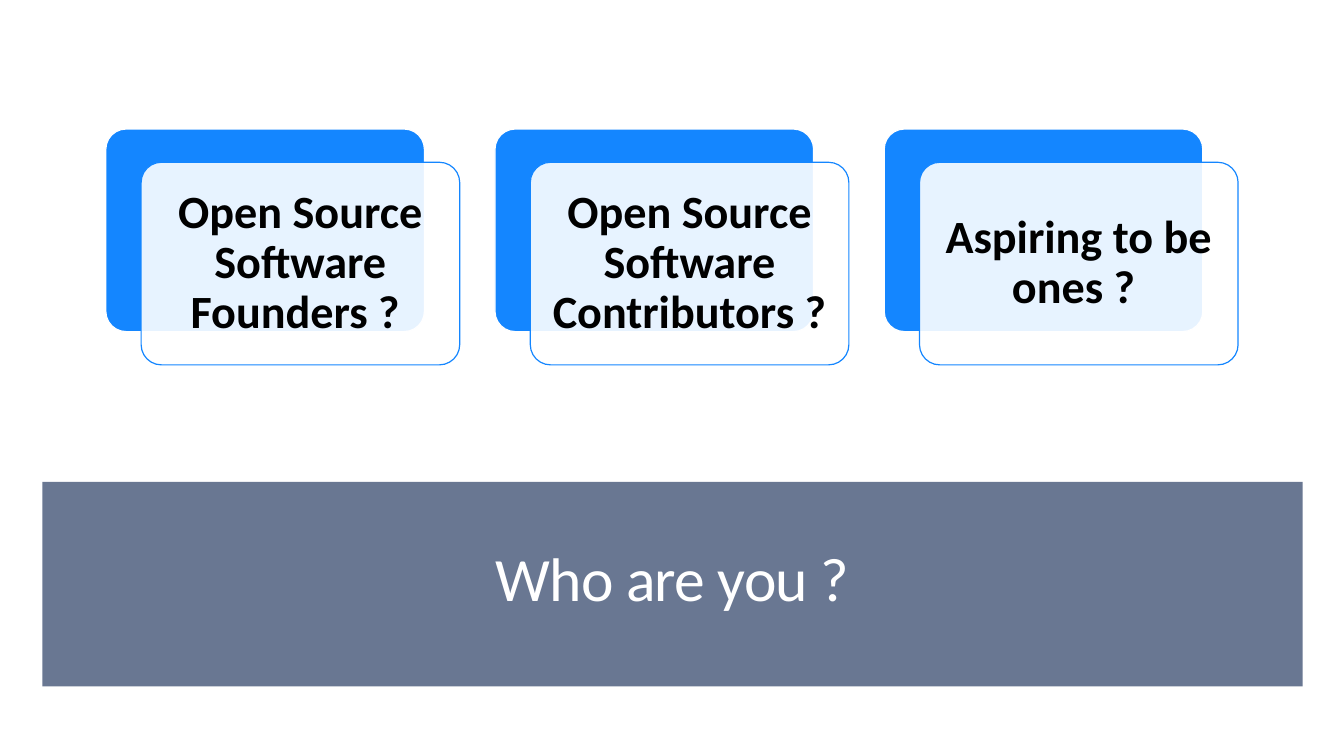
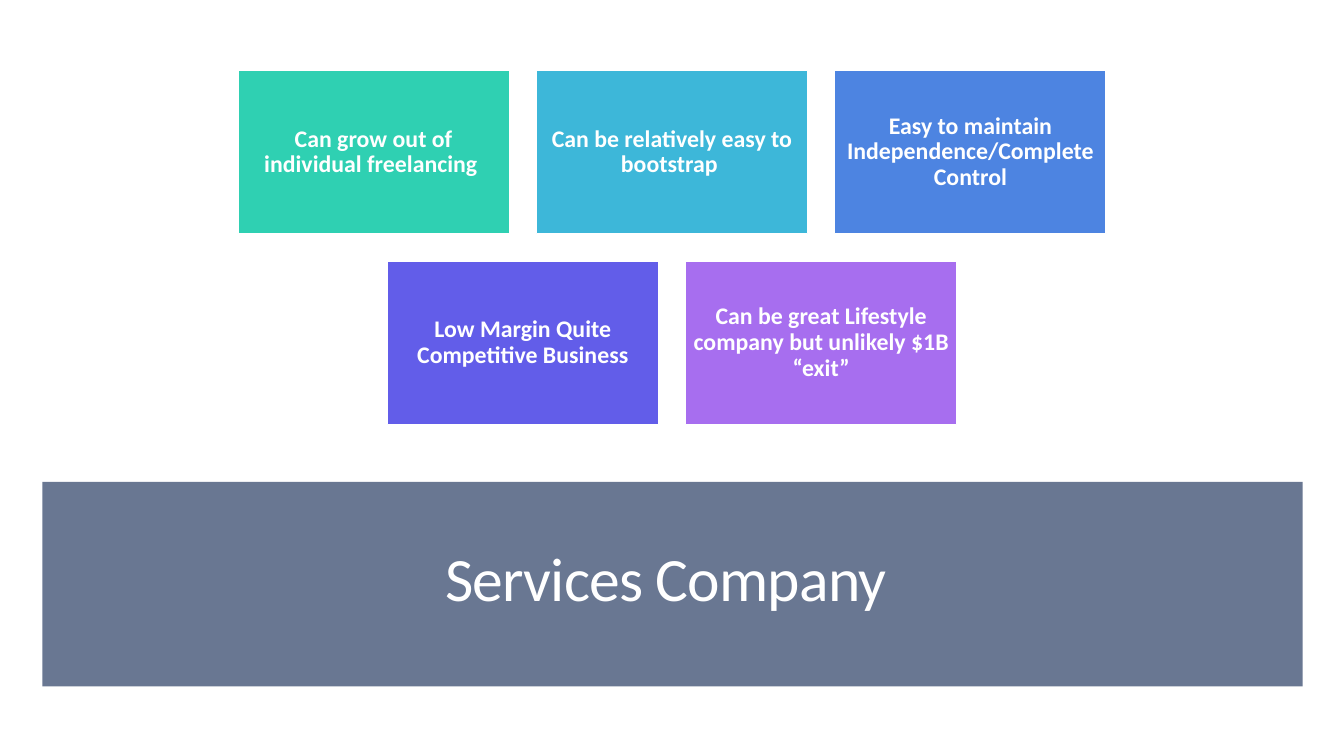
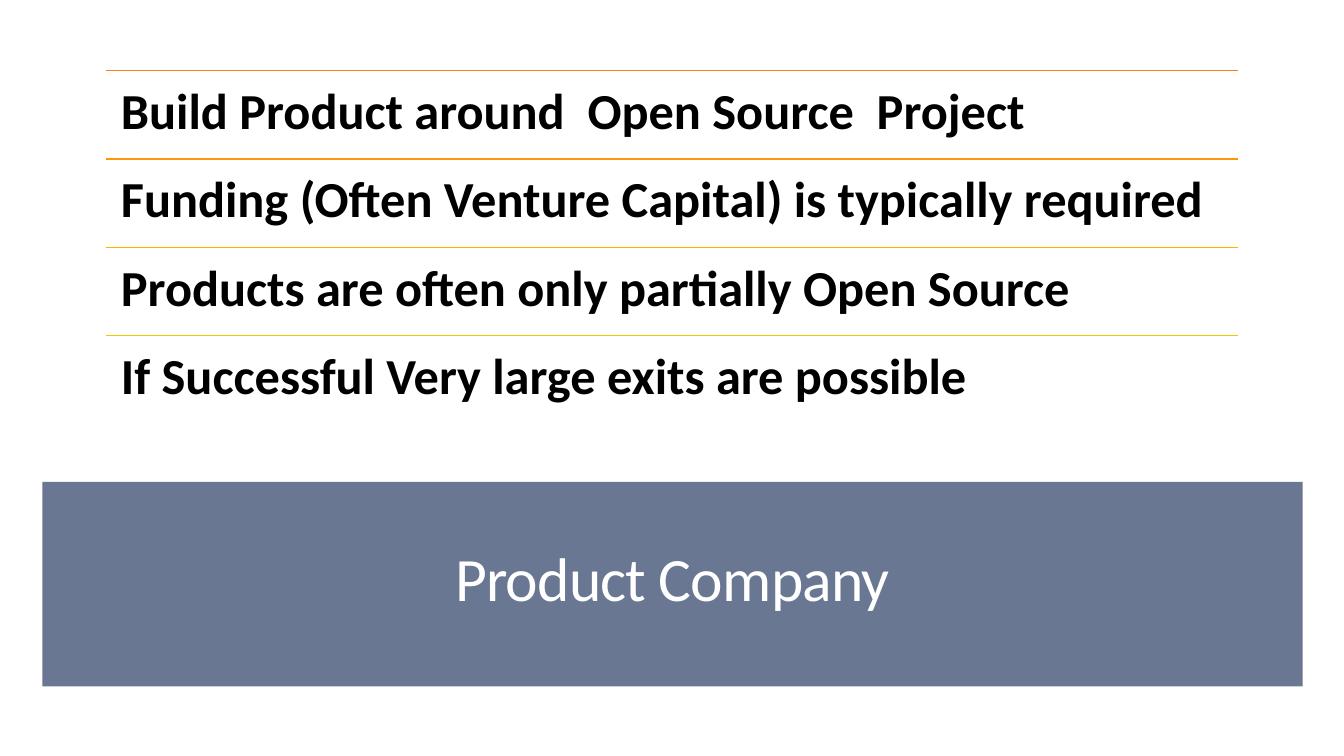
import pptx
import pptx.dml.color
import pptx.enum.shapes
import pptx.enum.text
import pptx.oxml.ns
import pptx.util
from lxml import etree

Inches = pptx.util.Inches
Pt = pptx.util.Pt
Preset = pptx.enum.shapes.MSO_SHAPE
Align = pptx.enum.text.PP_ALIGN
Anchor = pptx.enum.text.MSO_ANCHOR
qn = pptx.oxml.ns.qn


def rgb(hex_code):
    return pptx.dml.color.RGBColor.from_string(hex_code)


class Deck:
    FONT = "Calibri"
    WHITE, BLACK, BLUE, SLATE = "FFFFFF", "000000", "1486FF", "697792"
    WIDTH, HEIGHT = 13.33, 7.5
    LINE_WIDTH = 0.85
    TILE_SIZE = (2.69, 1.62)
    TILE_GAP = 0.27

    def __init__(self):
        self.presentation = pptx.Presentation()
        self.presentation.slide_width = Inches(self.WIDTH)
        self.presentation.slide_height = Inches(self.HEIGHT)
        self.slide = None

    def new_slide(self, title):
        """Add a blank slide with its title in the band at the bottom."""
        self.slide = self.presentation.slides.add_slide(self.presentation.slide_layouts[6])
        band = self.box(0.42, 4.78, 12.5, 2.03, self.SLATE)
        run = self.set_text(band, title, 44, self.WHITE, (0.1, 0.05, 0.1, 0.09), bold=False)
        run._r.get_or_add_rPr().set("spc", "-60")

    def box(self, left, top, width, height, fill, line=None, preset=Preset.RECTANGLE, opacity=100):
        shape = self.slide.shapes.add_shape(
            preset, Inches(left), Inches(top), Inches(width), Inches(height))
        shape.shadow.inherit = False
        shape.fill.solid()
        shape.fill.fore_color.rgb = rgb(fill)
        if opacity < 100:
            color = shape._element.spPr.find(qn("a:solidFill"))[0]
            etree.SubElement(color, qn("a:alpha"), val=str(opacity * 1000))
        if line:
            shape.line.color.rgb = rgb(line)
            shape.line.width = Pt(self.LINE_WIDTH)
        else:
            shape.line.fill.background()
        return shape

    def set_text(self, shape, text, size, color, insets, align=Align.CENTER,
                 anchor=Anchor.MIDDLE, bold=True):
        """Set the text of a shape, with insets as left, top, right, bottom."""
        frame = shape.text_frame
        frame.text = text
        frame.word_wrap = True
        frame.vertical_anchor = anchor
        (frame.margin_left, frame.margin_top,
         frame.margin_right, frame.margin_bottom) = map(Inches, insets)
        paragraph = frame.paragraphs[0]
        paragraph.alignment = align
        paragraph.line_spacing = 0.9
        run = paragraph.runs[0]
        run.font.name = self.FONT
        run.font.size = Pt(size)
        run.font.bold = bold
        run.font.color.rgb = rgb(color)
        return run

    def layered_card(self, left, top, text):
        """Draw a blue card with a translucent white card in front of it."""
        width, height = 3.16, 2.01
        back = self.box(left, top, width, height, self.BLUE, self.WHITE,
                        Preset.ROUNDED_RECTANGLE)
        front = self.box(left + 0.35, top + 0.33, width, height, self.WHITE, self.BLUE,
                         Preset.ROUNDED_RECTANGLE, opacity=90)
        for card in (back, front):
            card.adjustments[0] = 0.1
        self.set_text(front, text, 33, self.BLACK, (0.14,) * 4)

    def tile_row(self, top, tiles):
        """Draw a row of coloured tiles, centred on the slide."""
        width, height = self.TILE_SIZE
        pitch = width + self.TILE_GAP
        start = (self.WIDTH - len(tiles) * pitch + self.TILE_GAP) / 2
        for column, (text, fill) in enumerate(tiles):
            tile = self.box(start + column * pitch, top, width, height, fill, self.WHITE)
            self.set_text(tile, text, 17, self.WHITE, (0.07,) * 4)

    def ruled_row(self, left, top, width, height, text, color):
        """Put one line of text under a coloured rule."""
        rule = self.slide.shapes.add_connector(
            pptx.enum.shapes.MSO_CONNECTOR.STRAIGHT,
            Inches(left), Inches(top), Inches(left + width), Inches(top))
        rule.line.color.rgb = rgb(color)
        rule.line.width = Pt(self.LINE_WIDTH)
        etree.SubElement(rule._element.spPr, qn("a:effectLst"))
        statement = self.slide.shapes.add_textbox(
            Inches(left), Inches(top), Inches(width), Inches(height))
        self.set_text(statement, text, 36, self.BLACK, (0.15,) * 4, Align.LEFT, Anchor.TOP)


def audience_slide(deck):
    deck.new_slide("Who are you ?")
    audiences = (
        "Open Source Software Founders ? ",
        "Open Source Software Contributors ?",
        "Aspiring to be ones ? ",
    )
    for column, audience in enumerate(audiences):
        deck.layered_card(1.05 + column * 3.86, 1.28, audience)


def services_slide(deck):
    deck.new_slide("Services Company ")
    tile_rows = (
        (("Can grow out of individual freelancing ", "2FD0B2"),
         ("Can be relatively easy to bootstrap ", "3DB7D9"),
         ("Easy to maintain Independence/Complete Control", "4D84E1")),
        (("Low Margin Quite Competitive Business", "625DE9"),
         ("Can be great Lifestyle company but unlikely $1B “exit”", "A76EEF")),
    )
    for row, tiles in enumerate(tile_rows):
        deck.tile_row(0.7 + row * (deck.TILE_SIZE[1] + deck.TILE_GAP), tiles)


def product_slide(deck):
    deck.new_slide("Product Company")
    statements = (
        ("Build Product around  Open Source  Project", "FF7E19"),
        ("Funding (Often Venture Capital) is typically required", "FF960B"),
        ("Products are often only partially Open Source", "FDB100"),
        ("If Successful Very large exits are possible", "EFC700"),
    )
    row_height = 3.51 / len(statements)
    for row, (statement, color) in enumerate(statements):
        deck.ruled_row(1.05, 0.7 + row * row_height, 11.23, row_height, statement, color)


def main():
    deck = Deck()
    audience_slide(deck)
    services_slide(deck)
    product_slide(deck)
    deck.presentation.save("out.pptx")


if __name__ == "__main__":
    main()
